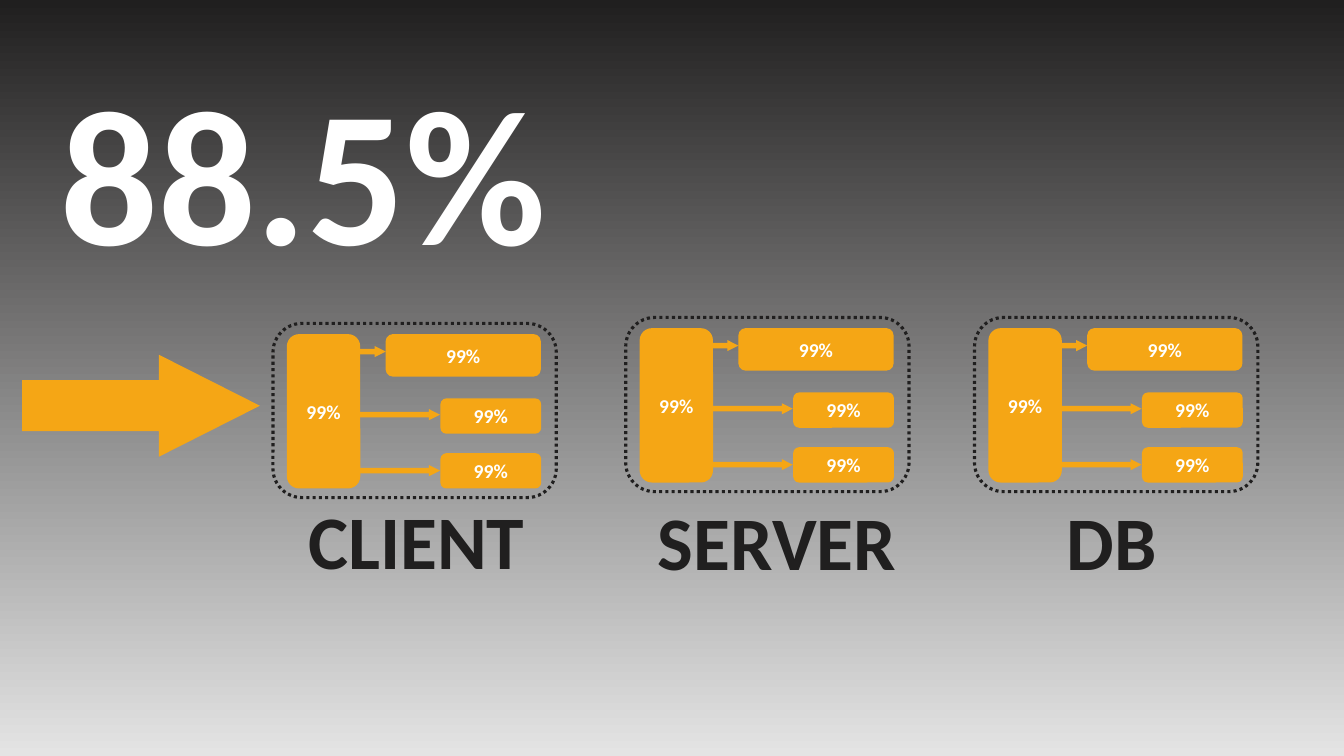
from pptx import Presentation
from pptx.dml.color import RGBColor
from pptx.enum.dml import MSO_LINE
from pptx.enum.shapes import MSO_SHAPE
from pptx.enum.text import MSO_ANCHOR, MSO_AUTO_SIZE, PP_ALIGN
from pptx.util import Cm, Pt

COLORS = {"orange": "F5A615", "dark": "201F1F", "light": "E4E4E4", "white": "FFFFFF"}


def add_box(shapes, kind, left, top, width, height, fill="orange"):
    shape = shapes.add_shape(kind, Cm(left), Cm(top), Cm(width), Cm(height))
    shape.shadow.inherit = False
    shape.line.fill.background()
    if fill:
        shape.fill.solid()
        shape.fill.fore_color.rgb = RGBColor.from_string(COLORS[fill])
    else:
        shape.fill.background()
    if kind == MSO_SHAPE.RIGHT_ARROW:
        shape.adjustments[0] = 0.5
        shape.adjustments[1] = 0.99
    return shape


def write_text(shape, text, size, color):
    shape.text_frame.text = text
    font = shape.text_frame.paragraphs[0].runs[0].font
    font.name = "Calibri"
    font.size = Pt(size)
    font.bold = True
    font.color.rgb = RGBColor.from_string(COLORS[color])


presentation = Presentation()
presentation.slide_width = Cm(33.87)
presentation.slide_height = Cm(19.05)
slide = presentation.slides.add_slide(presentation.slide_layouts[6])

background = slide.background.fill
background.gradient()
background.gradient_angle = 270
for stop, color, position in zip(background.gradient_stops, ("dark", "light"), (0, 1)):
    stop.color.rgb = RGBColor.from_string(COLORS[color])
    stop.position = position

add_box(slide.shapes, MSO_SHAPE.RIGHT_ARROW, 0.56, 8.94, 5.99, 2.57)

components = [
    (0.35, 0.27, 1.85, 3.89),
    (2.84, 0.27, 3.91, 1.07),
    (4.22, 1.89, 2.54, 0.89),
    (4.22, 3.27, 2.54, 0.89),
]
arrows = [(2.18, 0.57, 0.66), (2.18, 2.16, 2.03), (2.08, 3.57, 2.13)]

for tier_left, tier_top in [(6.88, 8.15), (15.77, 8), (24.56, 8)]:
    tier = slide.shapes.add_group_shape()
    for left, top, width, height in components:
        component = add_box(tier.shapes, MSO_SHAPE.ROUNDED_RECTANGLE,
                            tier_left + left, tier_top + top, width, height)
        write_text(component, "99%", 14, "white")
        component.text_frame.vertical_anchor = MSO_ANCHOR.MIDDLE
        component.text_frame.paragraphs[0].alignment = PP_ALIGN.CENTER
    frame = add_box(tier.shapes, MSO_SHAPE.ROUNDED_RECTANGLE,
                    tier_left, tier_top, 7.14, 4.39, fill=None)
    frame.line.color.rgb = RGBColor.from_string(COLORS["dark"])
    frame.line.width = Pt(2.25)
    frame.line.dash_style = MSO_LINE.ROUND_DOT
    for left, top, width in arrows:
        add_box(tier.shapes, MSO_SHAPE.RIGHT_ARROW,
                tier_left + left, tier_top + top, width, 0.28)

labels = [
    ("CLIENT", 7.52, 12.32, 6.02, 2.57, 54, "dark"),
    ("SERVER", 16.33, 12.34, 6.58, 2.57, 54, "dark"),
    ("DB", 26.64, 12.34, 2.79, 2.57, 54, "dark"),
    ("88.5%", 1.27, 1.19, 12.9, 6.15, 138, "white"),
]
for text, left, top, width, height, size, color in labels:
    label = slide.shapes.add_textbox(Cm(left), Cm(top), Cm(width), Cm(height))
    label.text_frame.word_wrap = False
    label.text_frame.auto_size = MSO_AUTO_SIZE.SHAPE_TO_FIT_TEXT
    write_text(label, text, size, color)

presentation.save("out.pptx")
